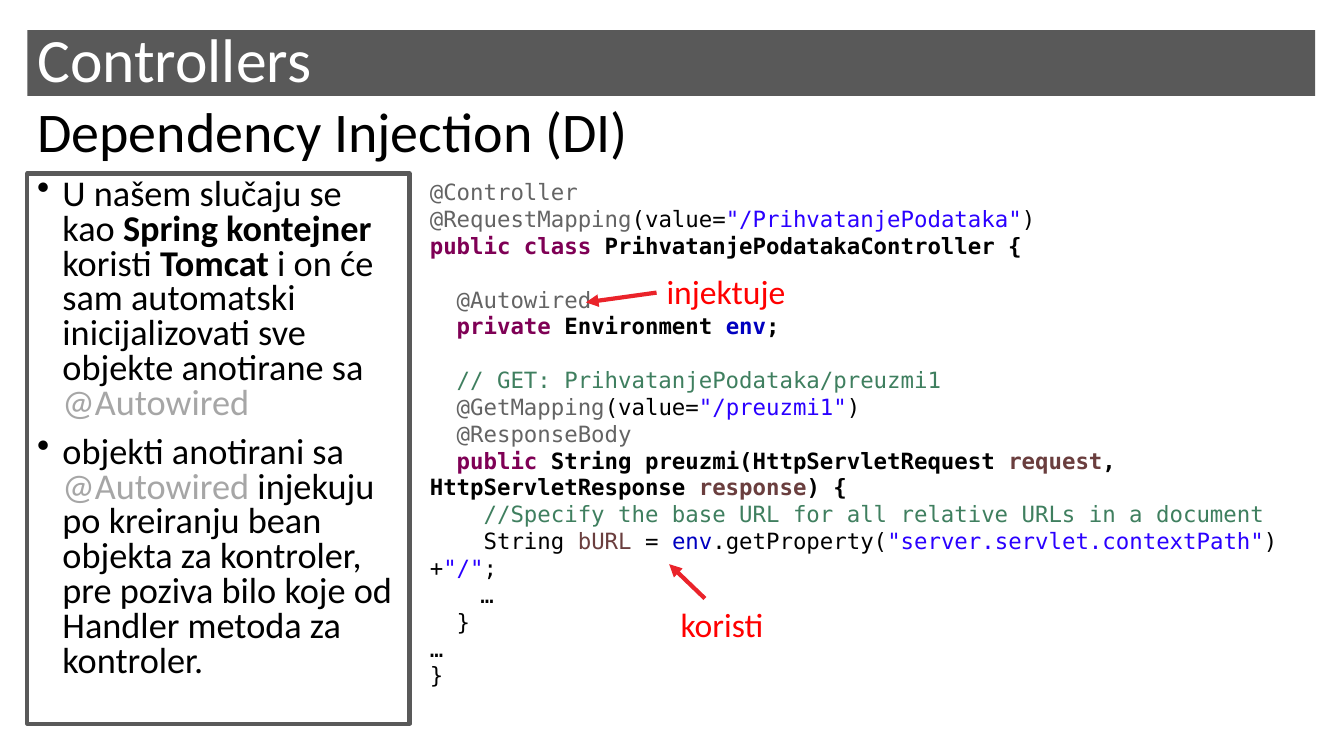
import pptx
import pptx.util
import pptx.dml.color
import pptx.enum.shapes
import pptx.enum.text
import pptx.oxml.ns
import lxml.etree

Pt = pptx.util.Pt
GREY = "595959"
BODY_FONT = "Calibri"
CODE_FONT = "DejaVu Sans Mono"
STYLES = {
    "plain": ("000000", False),
    "strong": ("000000", True),
    "faded": ("A6A6A6", False),
    "white": ("FFFFFF", False),
    "red": ("FF0000", False),
    "annotation": ("646464", False),
    "keyword": ("7F0055", True),
    "string": ("2A00FF", False),
    "comment": ("3F7F5F", False),
    "field": ("0000C0", False),
    "strong field": ("0000C0", True),
    "variable": ("6A3E3E", False),
    "parameter": ("6A3E3E", True),
}
BULLETS = [
    [("U našem slučaju se kao ", "plain"), ("Spring kontejner ", "strong"),
     ("koristi ", "plain"), ("Tomcat", "strong"),
     (" i on će sam automatski inicijalizovati sve objekte anotirane sa ", "plain"),
     ("@Autowired", "faded")],
    [("objekti anotirani sa ", "plain"), ("@Autowired ", "faded"),
     ("injekuju po kreiranju bean objekta za kontroler, pre poziva bilo koje "
      "od Handler metoda za kontroler.", "plain")],
]
CODE_BLOCKS = [
    [
        [("@Controller", "annotation")],
        [("@RequestMapping", "annotation"), ("(value=", "plain"),
         ('"/PrihvatanjePodataka"', "string"), (")", "plain")],
        [("public class", "keyword"), (" PrihvatanjePodatakaController {", "strong")],
    ],
    [
        [("  @Autowired", "annotation")],
        [("  private", "keyword"), (" Environment ", "strong"),
         ("env", "strong field"), (";", "strong")],
    ],
    [
        [("  // GET: PrihvatanjePodataka/preuzmi1", "comment")],
        [("  @GetMapping", "annotation"), ("(value=", "plain"),
         ('"/preuzmi1"', "string"), (")", "plain")],
        [("  @ResponseBody", "annotation")],
        [("  public", "keyword"), (" String preuzmi(HttpServletRequest ", "strong"),
         ("request", "parameter"), (", HttpServletResponse ", "strong"),
         ("response", "parameter"), (") {", "strong")],
        [("    //Specify the base URL for all relative URLs in a document", "comment")],
        [("    String ", "plain"), ("bURL", "variable"), (" = ", "plain"),
         ("env", "field"), (".getProperty(", "plain"),
         ('"server.servlet.contextPath"', "string"), (") +", "plain"),
         ('"/"', "string"), (";", "plain")],
        [("\t…", "plain")],
        [("  }", "plain")],
        [("…", "plain")],
        [("}", "plain")],
    ],
]


def color(hex_string):
    return pptx.dml.color.RGBColor.from_string(hex_string)


def add_panel(slide, box, fill=None, line=None, middle=False):
    shape = slide.shapes.add_shape(
        pptx.enum.shapes.MSO_SHAPE.RECTANGLE, *(Pt(value) for value in box))
    shape.shadow.inherit = False
    if fill:
        shape.fill.solid()
        shape.fill.fore_color.rgb = color(fill)
    else:
        shape.fill.background()
    if line:
        shape.line.color.rgb = color(line)
        shape.line.width = Pt(3)
    else:
        shape.line.fill.background()
    anchor = pptx.enum.text.MSO_ANCHOR
    shape.text_frame.vertical_anchor = anchor.MIDDLE if middle else anchor.TOP
    shape.text_frame.word_wrap = True
    return shape.text_frame


def write_paragraph(text_frame, index, parts, font_name, size, spacing=1.0):
    paragraph = text_frame.add_paragraph() if index else text_frame.paragraphs[0]
    paragraph.alignment = pptx.enum.text.PP_ALIGN.LEFT
    paragraph.line_spacing = spacing
    for text, style in parts:
        run = paragraph.add_run()
        run.text = text
        hex_string, bold = STYLES[style]
        run.font.name = font_name
        run.font.size = Pt(size)
        run.font.bold = bold
        run.font.color.rgb = color(hex_string)
    return paragraph


def add_heading(slide, box, text, size, style, fill=None):
    text_frame = add_panel(slide, box, fill=fill, middle=True)
    write_paragraph(text_frame, 0, [(text, style)], BODY_FONT, size, 0.9)


def add_bullets(slide, box):
    text_frame = add_panel(slide, box, line=GREY)
    for index, parts in enumerate(BULLETS):
        paragraph = write_paragraph(text_frame, index, parts, BODY_FONT, 25.9, 0.8)
        properties = paragraph._p.get_or_add_pPr()
        properties.set("marL", str(Pt(18)))
        properties.set("indent", str(-Pt(18)))
        bullet = lxml.etree.SubElement(properties, pptx.oxml.ns.qn("a:buChar"))
        bullet.set("char", "•")
        if index:
            paragraph.space_before = Pt(10)


def add_code(slide, box):
    text_frame = add_panel(slide, box)
    index = 0
    for block in CODE_BLOCKS:
        for row, parts in enumerate(block):
            paragraph = write_paragraph(text_frame, index, parts, CODE_FONT, 16)
            if index and row == 0:
                paragraph.space_before = Pt(19)
            index += 1


def add_callout(slide, box, text, start, end):
    left, top = box[:2]
    text_frame = add_panel(slide, box)
    write_paragraph(text_frame, 0, [(text, "red")], BODY_FONT, 24)
    connector = slide.shapes.add_connector(
        pptx.enum.shapes.MSO_CONNECTOR.STRAIGHT,
        Pt(left + start[0]), Pt(top + start[1]),
        Pt(left + end[0]), Pt(top + end[1]))
    connector.line.color.rgb = color("EA232A")
    connector.line.width = Pt(3)
    qn = pptx.oxml.ns.qn
    line = connector.line._get_or_add_ln()
    lxml.etree.SubElement(line, qn("a:tailEnd")).set("type", "triangle")
    lxml.etree.SubElement(connector._element.spPr, qn("a:effectLst"))


def build_slide(presentation):
    slide = presentation.slides.add_slide(presentation.slide_layouts[6])
    left, width, content_top = 19.5, 920, 124
    add_heading(slide, (left, 21.5, width, 47), "Controllers", 44, "white", GREY)
    add_heading(slide, (left, 75.5, width, 41), "Dependency Injection (DI)", 40, "plain")
    add_bullets(slide, (left, content_top, 273, 393))
    add_code(slide, (300, content_top, 654, 356))
    add_callout(slide, (479, 427.5, 98, 36), "koristi", (24.5, 0), (-1, -24.5))
    add_callout(slide, (469, 190, 107, 36), "injektuje", (0, 19), (-50.5, 26))


def main():
    presentation = pptx.Presentation()
    presentation.slide_width = Pt(960)
    presentation.slide_height = Pt(540)
    build_slide(presentation)
    presentation.save("out.pptx")


if __name__ == "__main__":
    main()
